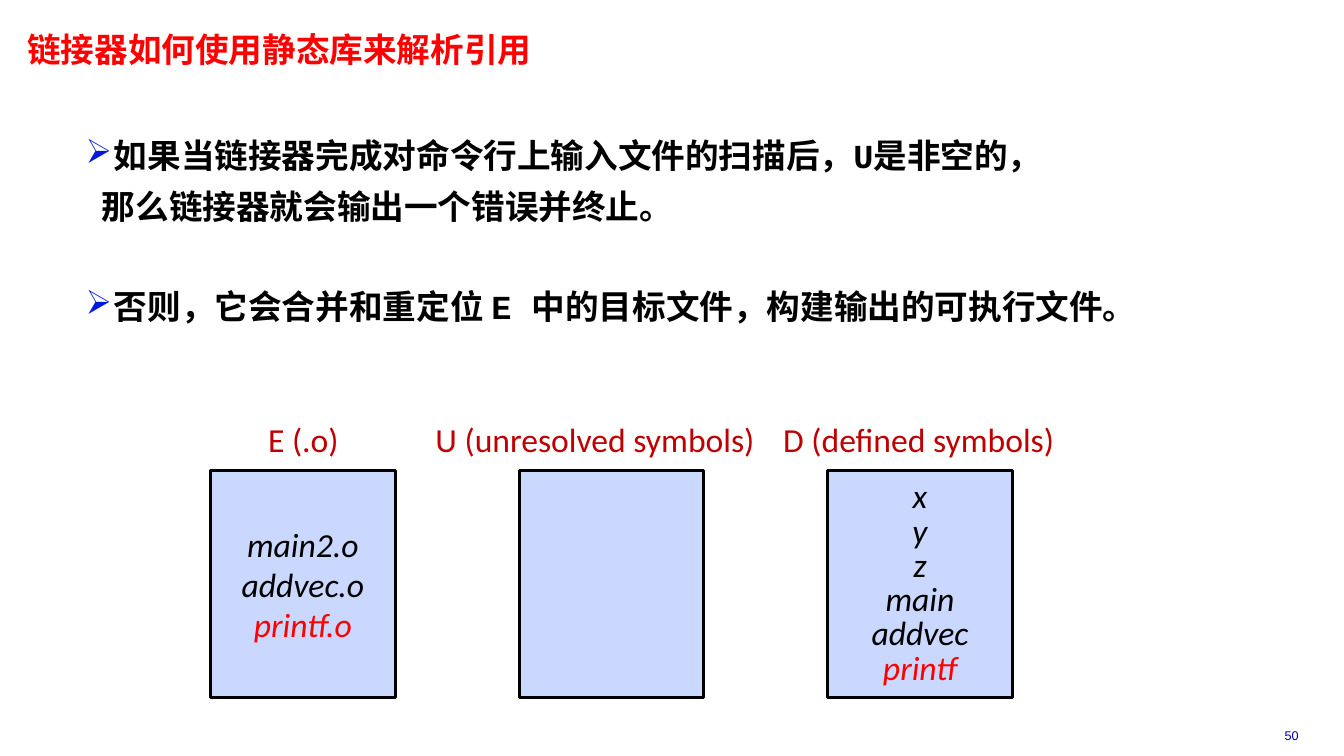
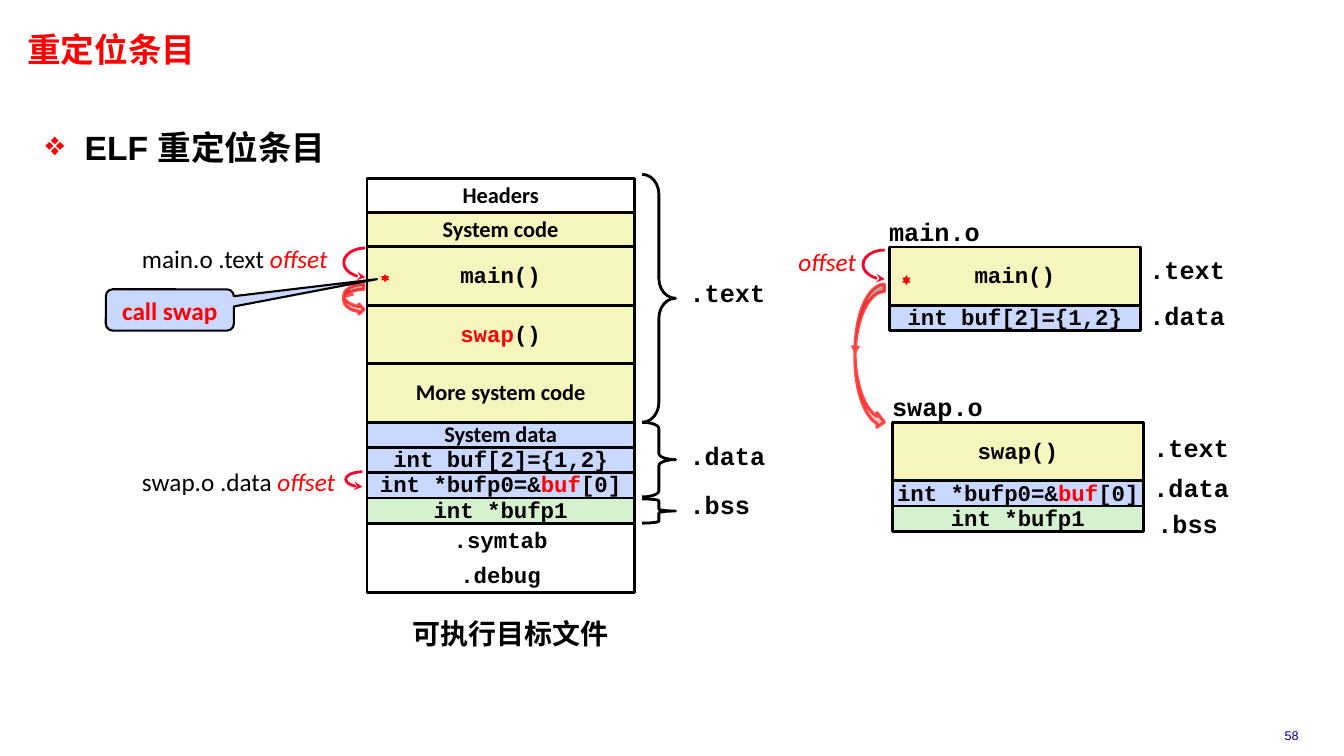
from lxml import etree
from pptx import Presentation
from pptx.dml.color import RGBColor
from pptx.enum import shapes, text
from pptx.oxml import ns
from pptx.util import Inches, Pt

BLACK = RGBColor(0x00, 0x00, 0x00)
WHITE = RGBColor(0xFF, 0xFF, 0xFF)
RED = RGBColor(0xFF, 0x00, 0x00)
DARK = RGBColor(0xC0, 0x00, 0x00)
CRIMSON = RGBColor(0xFC, 0x01, 0x28)
PINK = RGBColor(0xF1, 0xC7, 0xC7)
BLUE = RGBColor(0xCA, 0xD7, 0xFE)
CREAM = RGBColor(0xF6, 0xF5, 0xBD)
GREEN = RGBColor(0xD5, 0xF1, 0xCF)
NAVY = RGBColor(0x00, 0x00, 0x99)
BULLET = RGBColor(0x00, 0x1A, 0xDC)

KIND = shapes.MSO_SHAPE
ALIGN = text.PP_ALIGN
CODE, SANS, HEAD, HAN = "Courier New", "Calibri", "Arial", "Noto Sans CJK SC"

TITLE = dict(name=HEAD, size=Pt(24), bold=True, color=RED)
BODY = dict(TITLE, color=BLACK)
POINT = dict(BODY, name=CODE)
NUMBER = dict(name=HEAD, size=Pt(9), color=NAVY)
SYMBOL = dict(name=SANS, size=Pt(24), italic=True, color=BLACK)
HEADING = dict(name=SANS, size=Pt(24), color=DARK)
CELL = dict(name=CODE, size=Pt(16), bold=True, color=BLACK)
PART = dict(CELL, name=SANS)
LABEL = dict(CELL, size=Pt(18))
NOTE = dict(name=SANS, size=Pt(18), color=BLACK)
OFFSET = ("offset", dict(color=RED, italic=True))


def place(left, top, width, height):
    return [Inches(n) for n in (left, top, width, height)]


def child(parent, tag, **attrs):
    return etree.SubElement(parent, ns.qn(tag), attrs)


def style(run, form):
    """Apply format values to a run, with one font for Chinese text."""
    for key, value in form.items():
        if key == "color":
            run.font.color.rgb = value
        else:
            setattr(run.font, key, value)
    child(run._r.get_or_add_rPr(), "a:ea", typeface=HAN)


def write(frame, paras, form, align=ALIGN.LEFT, gap=0, **layout):
    """Fill a frame; a paragraph is a string or a list of (text, changes)."""
    for i, parts in enumerate(paras):
        para = frame.paragraphs[0] if i == 0 else frame.add_paragraph()
        para.alignment = align
        para.space_before = Pt(gap if i else 0)
        for key, value in layout.items():
            setattr(para, key, value)
        if isinstance(parts, str):
            parts = [(parts, {})]
        for words, changes in parts:
            run = para.add_run()
            run.text = words
            style(run, {**form, **changes})


def label(slide, box, para, form, wrap=False, **layout):
    frame = slide.shapes.add_textbox(*place(*box)).text_frame
    frame.word_wrap = wrap
    frame.auto_size = text.MSO_AUTO_SIZE.SHAPE_TO_FIT_TEXT
    write(frame, [para], form, **layout)


def draw(slide, kind, box, fill=None, line=BLACK, width=2, adjust=()):
    shape = slide.shapes.add_shape(kind, *place(*box))
    shape.shadow.inherit = False
    for i, value in enumerate(adjust):
        shape.adjustments[i] = value
    for paint, color in ((shape.fill, fill), (shape.line.fill, line)):
        if color is None:
            paint.background()
        else:
            paint.solid()
            paint.fore_color.rgb = color
    if line is not None:
        shape.line.width = Pt(width)
    return shape


def block(slide, box, paras, form, fill, width=2, kind=KIND.RECTANGLE,
          adjust=(), **layout):
    """Draw a filled shape with centred text."""
    shape = draw(slide, kind, box, fill, width=width, adjust=adjust)
    shape.text_frame.word_wrap = False
    shape.text_frame.vertical_anchor = text.MSO_ANCHOR.MIDDLE
    write(shape.text_frame, paras, form, ALIGN.CENTER, **layout)


def trim(frame):
    frame.margin_left = frame.margin_right = Inches(0.07)
    frame.margin_top = frame.margin_bottom = Inches(0.03)


def start(deck, title, number):
    """Add a slide with its title and page number."""
    slide = deck.slides.add_slide(deck.slide_layouts[5])
    head = slide.shapes.title
    head.left, head.top, head.width, head.height = place(0.2, 0.28, 7.8, 0.47)
    frame = head.text_frame
    trim(frame)
    frame.word_wrap = True
    frame.auto_size = text.MSO_AUTO_SIZE.NONE
    frame.vertical_anchor = text.MSO_ANCHOR.TOP
    write(frame, [title], TITLE, line_spacing=Pt(27))
    label(slide, (12.34, 7.17, 0.94, 0.25), number, NUMBER, True,
          align=ALIGN.CENTER)
    return slide


def indent(para, left, hang=0, mark=None, color=None):
    props = para._p.get_or_add_pPr()
    props.set("marL", str(Inches(left)))
    props.set("indent", str(-Inches(hang)))
    if mark:
        child(child(props, "a:buClr"), "a:srgbClr", val=str(color))
        child(props, "a:buChar", char=mark)


def body(slide, box, paras, form, pitch):
    frame = slide.shapes.add_textbox(*place(*box)).text_frame
    frame.word_wrap = True
    trim(frame)
    write(frame, paras, form, line_spacing=Pt(pitch))
    return frame.paragraphs


def sets(slide, left, top):
    """Draw the three linker sets side by side."""
    columns = (
        ("E (.o)", 0.47, 0.91, ["main2.o", "addvec.o"], "printf.o", 1),
        ("U (unresolved symbols)", -0.93, 3.41, [], "", 1),
        ("D (defined symbols)", -0.54, 2.93,
         ["x", "y", "z", "main", "addvec"], "printf", 0.85),
    )
    for i, (name, shift, width, items, last, ratio) in enumerate(columns):
        x = left + i * 3.06
        paras = items + [[(last, dict(color=RED))]] if last else []
        block(slide, (x, top, 1.83, 2.25), paras, SYMBOL, BLUE, 2.25,
              line_spacing=ratio)
        label(slide, (x + shift, top - 0.5, width, 0.44), name, HEADING,
              line_spacing=0.85)


def stack(slide, left, top, width, rows):
    for height, fill, form, *paras in rows:
        block(slide, (left, top, width, height), paras, form, fill,
              gap=7, line_spacing=0.94)
        top += height


MAIN = (0.58, CREAM, CELL, "main()")
BUF = (0.25, BLUE, CELL, "int buf[2]={1,2}")
POINTER = (0.25, BLUE, CELL,
           [("int *bufp0=&", {}), ("buf", dict(color=RED)), ("[0]", {})])
BSS = (0.25, GREEN, CELL, "int *bufp1")


def program(slide, left, top):
    """Draw the executable with its section braces and caption."""
    stack(slide, left, top, 2.65, (
        (0.34, WHITE, PART, "Headers"),
        (0.34, CREAM, PART, "System code"),
        MAIN,
        (0.58, CREAM, CELL, [("swap", dict(color=RED)), ("()", {})]),
        (0.58, CREAM, PART, "More system code"),
        (0.25, BLUE, PART, "System data"),
        BUF, POINTER, BSS,
        (0.69, WHITE, CELL, ".symtab", ".debug"),
    ))
    for name, y, height, curl, drop in (
            (".text", -0.04, 2.46, 0.598, 0.96),
            (".data", 2.42, 0.74, 0.185, 2.57),
            (".bss", 3.18, 0.24, 0.083, 3.06)):
        draw(slide, KIND.RIGHT_BRACE, (left + 2.73, top + y, 0.33, height),
             adjust=(curl, 0.5))
        label(slide, (left + 3.1, top + drop, 0.95, 0.39), name, LABEL,
              line_spacing=0.94)
    label(slide, (left + 0.35, top + 4.3, 2.17, 0.43), "可执行目标文件",
          dict(PART, size=Pt(20)))


def module(slide, left, top, name, rows, tags):
    """Draw an object file with its name above and sections to the right."""
    stack(slide, left, top, 2.49, rows)
    label(slide, (left - 0.1, top - 0.33, 1.1, 0.39), name, LABEL,
          line_spacing=0.94)
    for tag, x, y in tags:
        label(slide, (left + x, top + y, 0.95, 0.39), tag, LABEL,
              line_spacing=0.94)


def hook(slide, *box):
    """Draw a left half arc with its arrowhead at the bottom."""
    arc = draw(slide, KIND.ARC, box, line=CRIMSON, adjust=(54, 162))
    child(arc.line._get_or_add_ln(), "a:headEnd", type="stealth")


def sweep(slide, *box):
    """Draw a translucent curved arrow."""
    arrow = draw(slide, KIND.CURVED_RIGHT_ARROW, box, PINK, RED, 2.25)
    edge = arrow.line._get_or_add_ln()
    child(edge.find(".//" + ns.qn("a:srgbClr")), "a:alpha", val="70000")
    child(edge, "a:tailEnd", type="triangle")


def star(slide, *box):
    draw(slide, KIND.STAR_6_POINT, box, RED, None)


def library(deck):
    slide = start(deck, "链接器如何使用静态库来解析引用", "50")
    first, second, third = body(slide, (0.39, 1.21, 12.57, 2.4), [
        "如果当链接器完成对命令行上输入文件的扫描后，U是非空的，",
        "那么链接器就会输出一个错误并终止。",
        "否则，它会合并和重定位 E 中的目标文件，构建输出的可执行文件。",
    ], POINT, 36)
    for para in (first, third):
        indent(para, 0.67, 0.28, "➢", BULLET)
    indent(second, 0.55)
    third.space_before = Pt(36)
    sets(slide, 2.09, 4.67)


def entries(deck):
    slide = start(deck, "重定位条目", "58")
    point, = body(slide, (0.38, 0.99, 12.57, 0.75), ["ELF 重定位条目"],
                  BODY, 46)
    indent(point, 0.39, 0.39, "❖", RED)
    program(slide, 3.64, 1.77)
    sweep(slide, 3.41, 2.82, 0.2, 0.3)
    block(slide, (1.05, 2.87, 1.27, 0.41), ["call swap"],
          dict(NOTE, bold=True, color=RED), BLUE, 1.5,
          KIND.ROUNDED_RECTANGULAR_CALLOUT, (1.618, -0.746, 0.167))
    for name, y in (("main.o .text ", 2.41), ("swap.o .data ", 4.62)):
        label(slide, (1.31, y, 2.21, 0.36), [(name, {}), OFFSET], NOTE, True,
              line_spacing=0.85)
    hook(slide, 3.41, 2.46, 0.43, 0.29)
    hook(slide, 3.43, 4.68, 0.33, 0.15)
    star(slide, 3.78, 2.72, 0.08, 0.08)

    module(slide, 8.82, 2.45, "main.o", (MAIN, BUF),
           ((".text", 2.48, 0.05), (".data", 2.48, 0.5)))
    module(slide, 8.85, 4.19, "swap.o",
           ((0.58, CREAM, CELL, "swap()"), POINTER, BSS),
           ((".text", 2.49, 0.07), (".data", 2.49, 0.47),
            (".bss", 2.53, 0.83)))
    star(slide, 8.95, 2.73, 0.08, 0.1)
    hook(slide, 8.56, 2.48, 0.43, 0.29)
    sweep(slide, 8.48, 2.82, 0.29, 1.44)
    label(slide, (7.82, 2.44, 0.79, 0.36), [OFFSET], NOTE, line_spacing=0.85)


def main():
    deck = Presentation()
    deck.slide_width, deck.slide_height = Inches(13.33), Inches(7.5)
    library(deck)
    entries(deck)
    deck.save("out.pptx")


if __name__ == "__main__":
    main()
